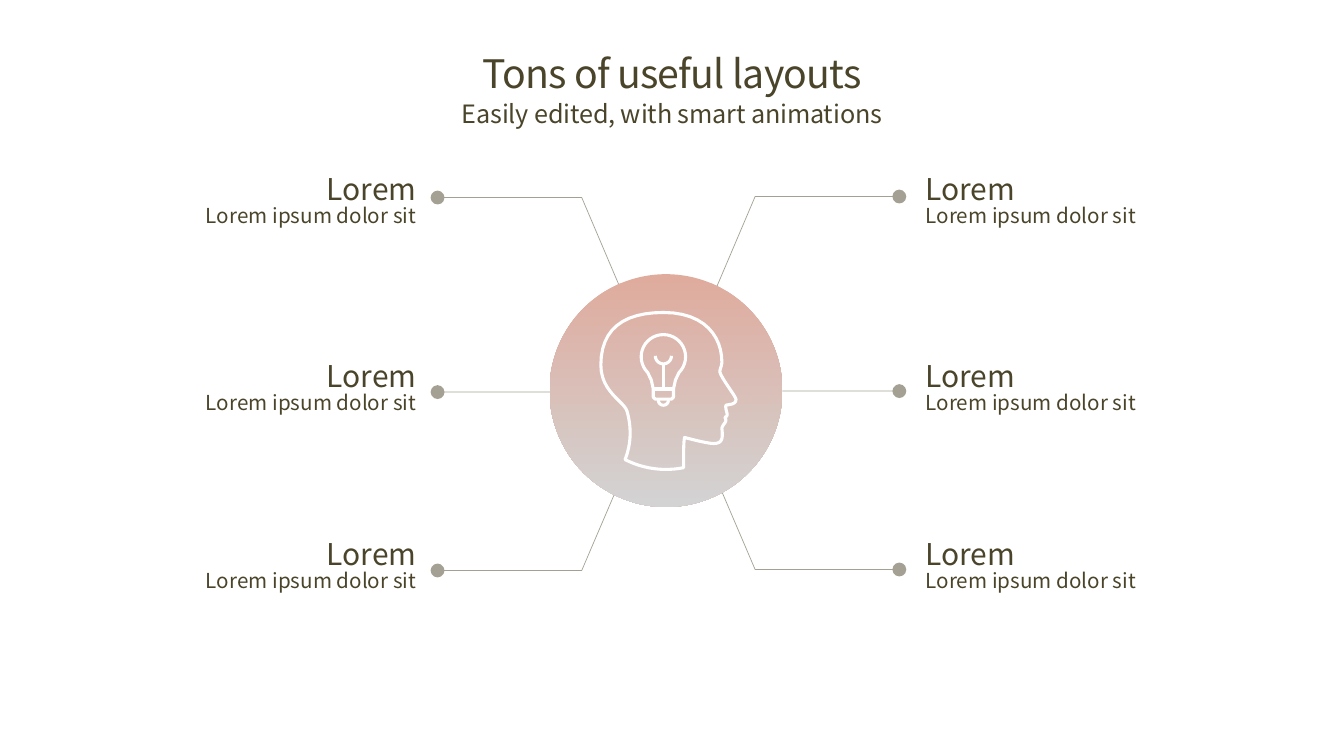
from dataclasses import dataclass
from math import cos, radians, sin

from lxml.etree import SubElement
from pptx import Presentation
from pptx.dml.color import RGBColor
from pptx.enum.shapes import MSO_CONNECTOR, MSO_SHAPE
from pptx.enum.text import MSO_ANCHOR, MSO_AUTO_SIZE, PP_ALIGN
from pptx.oxml.ns import qn
from pptx.util import Inches, Pt


@dataclass(frozen=True)
class Theme:
    font: str = "Noto Sans CJK SC"
    ink: RGBColor = RGBColor(0x4A, 0x45, 0x2A)
    white: RGBColor = RGBColor(0xFF, 0xFF, 0xFF)
    disc_top: RGBColor = RGBColor(0xDF, 0xAB, 0x9D)
    disc_bottom: RGBColor = RGBColor(0xD3, 0xD3, 0xD3)
    title: float = 28
    subtitle: float = 18
    heading: float = 21.4
    detail: float = 14.7
    leader: float = 0.5
    icon: float = 2.2


theme = Theme()
prs = Presentation()
prs.slide_width, prs.slide_height = Inches(13.33), Inches(7.5)
slide = prs.slides.add_slide(prs.slide_layouts[1])
shapes = slide.shapes


def format_paragraph(paragraph, size, align, spacing):
    paragraph.alignment = align
    paragraph.line_spacing = spacing
    paragraph.space_before = Pt(0)
    paragraph.font.name = theme.font
    paragraph.font.size = Pt(size)
    paragraph.font.color.rgb = theme.ink


def draw_outline(points, color, width):
    """Draw an unfilled line through points given in inches."""
    start, *rest = [(Inches(x), Inches(y)) for x, y in points]
    builder = shapes.build_freeform(*start)
    builder.add_line_segments(rest, close=False)
    outline = builder.convert_to_shape()
    outline.fill.background()
    outline.line.color.rgb = color
    outline.line.width = Pt(width)
    outline.shadow.inherit = False
    return outline


# Leader lines mirror each other about the axis; distances are measured from it
AXIS = 6.63
DOT_REACH, KNEE_REACH, FOOT_REACH, DISC_REACH = 2.29, 0.86, 0.12, 1.13
TOP_DOT, TOP_FOOT = 1.96, 3.7
MIDDLE = 3.89
BOTTOM_DOT, BOTTOM_FOOT = 5.66, 3.93
RIGHT_LIFT = 0.01

leaders = []
for side, lift in ((-1, 0), (1, RIGHT_LIFT)):
    dot_x, knee_x, foot_x, disc_x = (
        AXIS + side * reach for reach in (DOT_REACH, KNEE_REACH, FOOT_REACH, DISC_REACH))
    for dot_y, foot_y in ((TOP_DOT, TOP_FOOT), (BOTTOM_DOT, BOTTOM_FOOT)):
        bend = [(foot_x, foot_y - lift), (knee_x, dot_y - lift), (dot_x, dot_y - lift)]
        leaders.append(draw_outline(bend, theme.ink, theme.leader))
    level = Inches(MIDDLE - lift)
    straight = shapes.add_connector(
        MSO_CONNECTOR.STRAIGHT, Inches(disc_x), level, Inches(dot_x), level)
    straight.line.color.rgb = theme.ink
    straight.line.width = Pt(theme.leader)
    SubElement(straight._element.spPr, qn("a:effectLst"))
    leaders.append(straight)

for leader in leaders:
    ln = leader.line._get_or_add_ln()
    SubElement(ln.find(".//" + qn("a:srgbClr")), qn("a:alpha"), val="50000")
    SubElement(ln, qn("a:tailEnd"), type="oval", w="lg", len="lg")

# Central disc
DIAMETER = Inches(2.31)
disc = shapes.add_shape(MSO_SHAPE.OVAL, Inches(5.45), Inches(2.72), DIAMETER, DIAMETER)
disc.shadow.inherit = False
disc.line.fill.background()
disc.fill.gradient()
disc.fill.gradient_angle = 270
for stop, color in zip(disc.fill.gradient_stops, (theme.disc_top, theme.disc_bottom)):
    stop.color.rgb = color

# Head in profile: each feature is a Bezier curve that starts where the last one ended,
# given as two control points and an end point
CROWN = (6.58, 3.1)
CURVE_STEPS = 12
head_features = {
    "back of skull": ((6.18, 3.1), (5.96, 3.27), (5.96, 3.62)),
    "nape": ((5.96, 3.89), (6.19, 3.98), (6.22, 4.08)),
    "back of neck": ((6.28, 4.29), (6.24, 4.46), (6.2, 4.56)),
    "neckline": ((6.38, 4.65), (6.58, 4.68), (6.78, 4.64)),
    "throat": ((6.78, 4.5), (6.78, 4.39), (6.79, 4.34)),
    "jaw": ((6.9, 4.37), (7.03, 4.4), (7.08, 4.4)),
    "chin": ((7.17, 4.4), (7.17, 4.34), (7.16, 4.25)),
    "lower lip": ((7.17, 4.2), (7.22, 4.19), (7.19, 4.14)),
    "upper lip": ((7.24, 4.12), (7.19, 4.08), (7.2, 4.02)),
    "nose tip": ((7.25, 4.01), (7.3, 4.01), (7.3, 3.96)),
    "nose bridge": ((7.29, 3.92), (7.16, 3.76), (7.14, 3.69)),
    "brow": ((7.14, 3.66), (7.16, 3.63), (7.16, 3.59)),
    "forehead": ((7.16, 3.35), (7, 3.1), CROWN),
}
head = [CROWN]
for control_1, control_2, end in head_features.values():
    corners = (head[-1], control_1, control_2, end)
    for step in range(1, CURVE_STEPS + 1):
        t = step / CURVE_STEPS
        weights = ((1 - t) ** 3, 3 * t * (1 - t) ** 2, 3 * t ** 2 * (1 - t), t ** 3)
        head.append(tuple(
            sum(weight * corner[dimension] for weight, corner in zip(weights, corners))
            for dimension in (0, 1)))

# Light bulb, symmetrical about its own axis
BULB_AXIS = 6.58
SOCKET_HALF, SOCKET_TOP, SOCKET_BOTTOM = 0.1, 3.86, 3.96
FILAMENT_Y, FILAMENT_RADIUS = 3.53, 0.08
bulb_arcs = {  # centre y, radius, first and last angle (clockwise from the right)
    "glass": (3.54, 0.22, 135, 405),
    "filament": (FILAMENT_Y, FILAMENT_RADIUS, 0, 180),
    "tip": (3.97, 0.05, 0, 180),
}
arcs = {}
for part, (centre_y, radius, first, last) in bulb_arcs.items():
    angles = [radians(angle) for angle in range(first, last + 1, 9)]
    arcs[part] = [(BULB_AXIS + radius * cos(a), centre_y + radius * sin(a)) for a in angles]

shoulder_x, shoulder_y = arcs["glass"][-1]
half_base = [
    (shoulder_x - BULB_AXIS, shoulder_y),
    (SOCKET_HALF + 0.02, 3.77),
    (SOCKET_HALF, SOCKET_TOP),
    (SOCKET_HALF, SOCKET_BOTTOM - 0.02),
    (SOCKET_HALF - 0.02, SOCKET_BOTTOM),
]
base = [(BULB_AXIS + x, y) for x, y in half_base]
base += [(BULB_AXIS - x, y) for x, y in reversed(half_base)]
collar = [(BULB_AXIS + side * SOCKET_HALF, SOCKET_TOP) for side in (-1, 1)]
stem = [(BULB_AXIS, FILAMENT_Y + FILAMENT_RADIUS), (BULB_AXIS, SOCKET_TOP)]

for stroke in (head, arcs["glass"] + base, collar, stem, arcs["filament"], arcs["tip"]):
    draw_outline(stroke, theme.white, theme.icon)

# Labels
for left, align in ((1.65, PP_ALIGN.RIGHT), (9.18, PP_ALIGN.LEFT)):
    for top in (1.7, 3.55, 5.32):
        label = shapes.add_textbox(
            Inches(left), Inches(top), Inches(2.48), Inches(0.62)).text_frame
        label.word_wrap = True
        label.auto_size = MSO_AUTO_SIZE.SHAPE_TO_FIT_TEXT
        label.margin_left = label.margin_right = 0
        label.text = "Lorem\nLorem ipsum dolor sit"
        for paragraph, size in zip(label.paragraphs, (theme.heading, theme.detail)):
            format_paragraph(paragraph, size, align, spacing=0.85)

# Title and subtitle
title, subtitle = slide.placeholders
for holder, text, top, height, size, anchor, tracking in (
    (title, "Tons of useful layouts", 0.31, 0.89, theme.title, MSO_ANCHOR.MIDDLE, "-50"),
    (subtitle, "Easily edited, with smart animations", 1.02, 0.44, theme.subtitle,
     MSO_ANCHOR.TOP, "-10"),
):
    holder.left, holder.top = Inches(1), Inches(top)
    holder.width, holder.height = Inches(11.33), Inches(height)
    frame = holder.text_frame
    frame.text = text
    frame.auto_size = MSO_AUTO_SIZE.NONE
    frame.vertical_anchor = anchor
    frame.margin_left = frame.margin_right = frame.margin_top = frame.margin_bottom = 0
    paragraph = frame.paragraphs[0]
    properties = paragraph._p.get_or_add_pPr()
    properties.set("marL", "0")
    properties.set("indent", "0")
    SubElement(properties, qn("a:buNone"))
    format_paragraph(paragraph, size, PP_ALIGN.CENTER, spacing=0.86)
    paragraph.runs[0]._r.get_or_add_rPr().set("spc", tracking)

prs.save("out.pptx")
